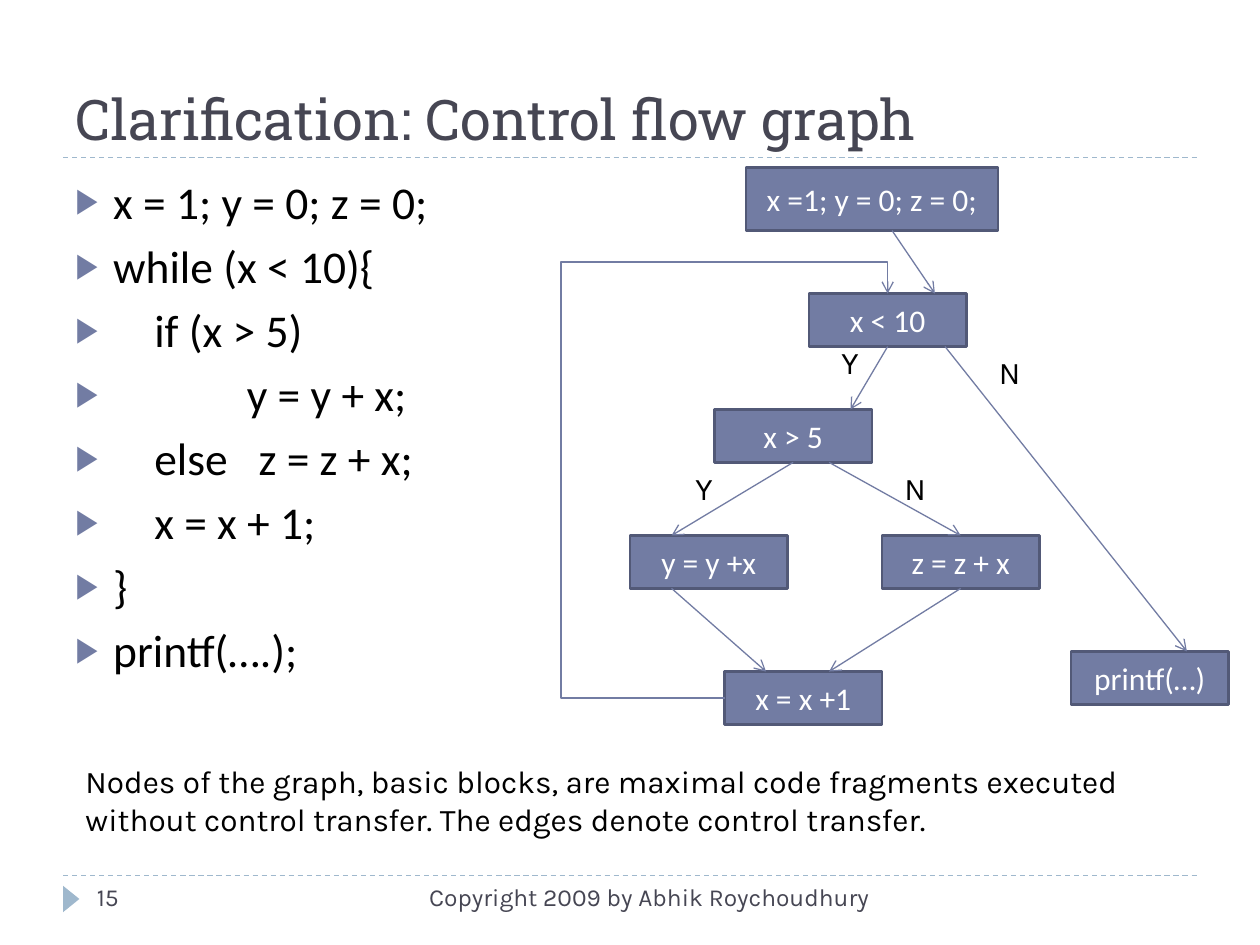
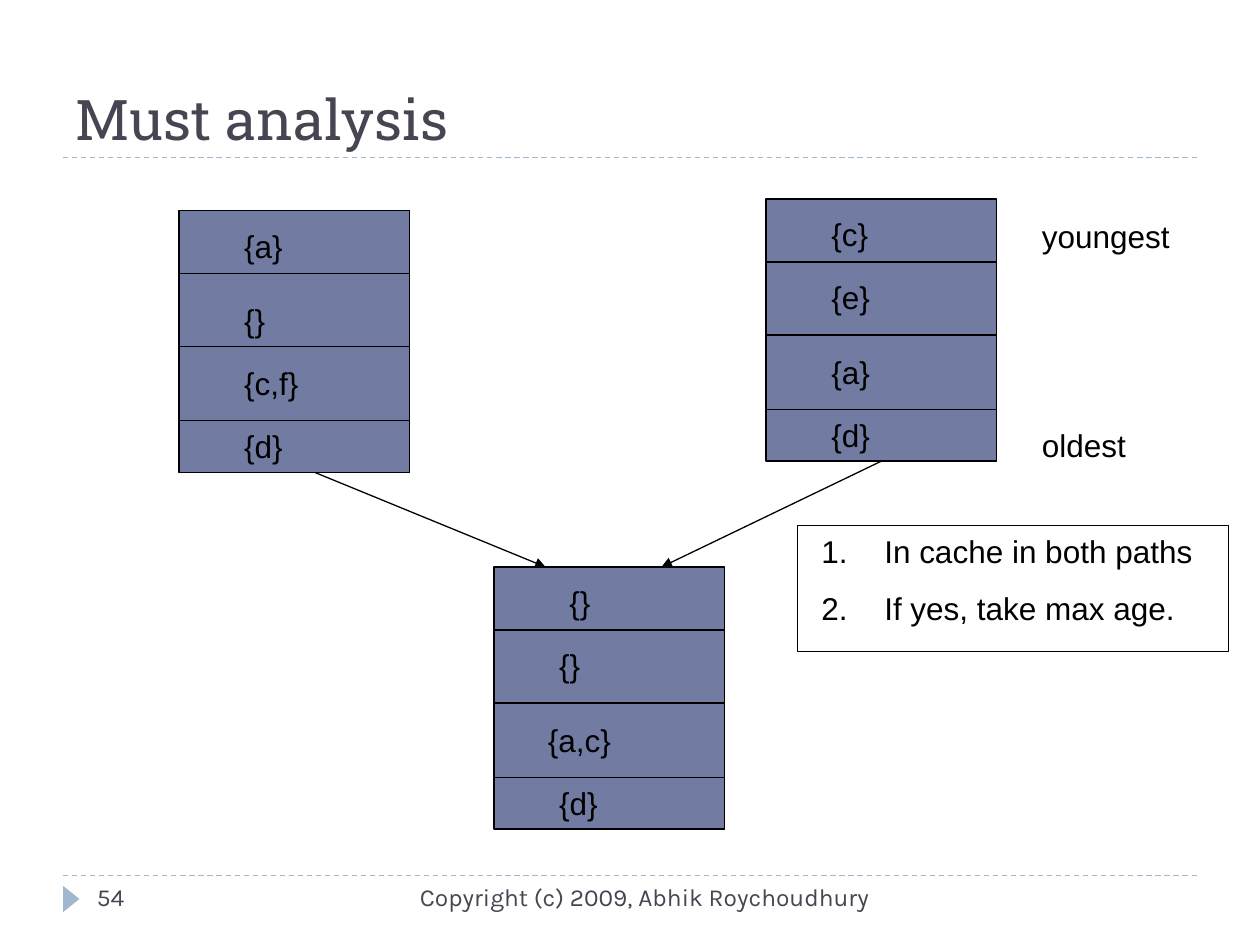
from lxml import etree
from pptx import Presentation
from pptx.dml.color import RGBColor
from pptx.enum.dml import MSO_LINE
from pptx.enum.shapes import MSO_CONNECTOR, MSO_SHAPE
from pptx.enum.text import MSO_ANCHOR, PP_ALIGN
from pptx.oxml.ns import qn
from pptx.util import Inches, Pt

RECTANGLE, TRIANGLE = MSO_SHAPE.RECTANGLE, MSO_SHAPE.ISOSCELES_TRIANGLE
STRAIGHT, ELBOW = MSO_CONNECTOR.STRAIGHT, MSO_CONNECTOR.ELBOW
LEFT, CENTER, RIGHT = PP_ALIGN.LEFT, PP_ALIGN.CENTER, PP_ALIGN.RIGHT
TOP, MIDDLE, BOTTOM = MSO_ANCHOR.TOP, MSO_ANCHOR.MIDDLE, MSO_ANCHOR.BOTTOM
DASH = MSO_LINE.DASH
TOP_SIDE, LEFT_SIDE, BOTTOM_SIDE = 0, 1, 2

COLORS = {
    "ink": "000000",
    "white": "FFFFFF",
    "heading": "464653",
    "block": "727CA3",
    "block_edge": "525977",
    "rule": "9FB8CD",
}
RGB = {name: RGBColor.from_string(value) for name, value in COLORS.items()}


def add_text(slide, text, left, top, width, height, size=18, font="Karla",
             color="ink", align=LEFT, anchor=TOP, fill=None, edge=None,
             bullet=(), indent=0, gap=0):
    """Add text, one paragraph a line, in a plain box or a filled rectangle.

    bullet lists the (tag, attributes) elements that make up the bullet.
    """
    area = [Inches(v) for v in (left, top, width, height)]
    if fill:
        holder = slide.shapes.add_shape(RECTANGLE, *area)
        holder.shadow.inherit = False
        holder.fill.solid()
        holder.fill.fore_color.rgb = RGB[fill]
        holder.line.color.rgb = RGB[edge]
        holder.line.width = Pt(1.5)
    else:
        holder = slide.shapes.add_textbox(*area)
    frame = holder.text_frame
    frame.word_wrap = True
    frame.vertical_anchor = anchor
    for number, line in enumerate(text.split("\n")):
        paragraph = frame.add_paragraph() if number else frame.paragraphs[0]
        paragraph.alignment = align
        if bullet:
            properties = paragraph._p.get_or_add_pPr()
            properties.set("marL", str(Inches(indent)))
            properties.set("indent", str(-Inches(indent)))
            color_tag = etree.SubElement(properties, qn("a:buClr"))
            mark_color = "block" if font == "Calibri" else color
            etree.SubElement(color_tag, qn("a:srgbClr"), val=COLORS[mark_color])
            for tag, attributes in bullet:
                etree.SubElement(properties, qn(tag), attributes)
        if number:
            paragraph.space_before = Pt(gap)
        run = paragraph.add_run()
        run.text = line
        run.font.size = Pt(size)
        run.font.name = font
        run.font.color.rgb = RGB[color]
    return holder


def add_line(slide, start, end, color="ink", kind=STRAIGHT, dash=None, head=None):
    ends = [Inches(v) for v in (*start, *end)]
    line = slide.shapes.add_connector(kind, *ends)
    line.line.color.rgb = RGB[color]
    line.line.width = Pt(0.75)
    if dash:
        line.line.dash_style = dash
    if head:
        etree.SubElement(line.line._get_or_add_ln(), qn("a:tailEnd"), type=head)
    etree.SubElement(line._element.spPr, qn("a:effectLst"))
    return line


prs = Presentation()
prs.slide_width, prs.slide_height = Inches(10), Inches(7.5)

# Shared title, rules and footer
slides = []
for title, page, copyright_line in (
    ("Clarification: Control flow graph", "15", "Copyright 2009 by Abhik Roychoudhury"),
    ("Must analysis", "54", "Copyright (c) 2009, Abhik Roychoudhury"),
):
    slide = prs.slides.add_slide(prs.slide_layouts[6])
    for rule_y in (6.95, 1.25):
        add_line(slide, (0.5, rule_y), (9.5, rule_y), "rule", dash=DASH)
    page_marker = slide.shapes.add_shape(
        TRIANGLE, Inches(0.46), Inches(7.07), Inches(0.21), Inches(0.13))
    page_marker.rotation = 90
    page_marker.shadow.inherit = False
    page_marker.fill.solid()
    page_marker.fill.fore_color.rgb = RGB["rule"]
    page_marker.line.fill.background()
    add_text(slide, title, 0.5, 0.17, 9, 1.08, size=32, font="Roboto Slab",
             color="heading", anchor=BOTTOM)
    add_text(slide, copyright_line, 3.17, 6.95, 3.83, 0.4, size=14,
             color="heading", align=RIGHT)
    add_text(slide, page, 0.67, 6.95, 2.17, 0.4, size=14, color="heading")
    slides.append(slide)
flow_slide, must_slide = slides

# Control flow graph: program text
PROGRAM = """x = 1; y = 0; z = 0;
while (x < 10){
    if (x > 5)
             y = y + x;
    else   z = z + x;
    x = x + 1;
}
printf(….);"""
ARROW_BULLET = (("a:buSzPct", {"val": "76000"}), ("a:buFont", {"typeface": "Arial"}),
                ("a:buChar", {"char": "▶"}))
add_text(flow_slide, PROGRAM, 0.5, 1.33, 3.33, 5.4, size=26, font="Calibri",
         bullet=ARROW_BULLET, indent=0.3, gap=5.4)

# Control flow graph: basic blocks
BLOCKS = {
    "init": ("x =1; y = 0; z = 0;", 5.92, 1.33, 2, 0.5),
    "loop": ("x < 10", 6.42, 2.33, 1.25, 0.42),
    "test": ("x > 5", 5.67, 3.25, 1.25, 0.42),
    "then": ("y = y +x", 5, 4.25, 1.25, 0.42),
    "else": ("z = z + x", 7, 4.25, 1.25, 0.42),
    "step": ("x = x +1", 5.75, 5.33, 1.25, 0.42),
    "print": ("printf(…)", 8.5, 5.17, 1.25, 0.42),
}
blocks = {
    name: add_text(flow_slide, *block, font="Calibri", color="white", align=CENTER,
                   anchor=MIDDLE, fill="block", edge="block_edge")
    for name, block in BLOCKS.items()
}

# Each edge runs from a bottom side to a top side; None is the middle of the side
for source, start_x, target, end_x in (
    ("init", 7.08, "loop", 7.42),
    ("loop", None, "test", 6.75),
    ("loop", 7.5, "print", 9.42),
    ("test", None, "then", 5.33),
    ("test", 6.58, "else", None),
    ("then", 5.33, "step", 6.08),
    ("else", None, "step", 6.58),
):
    start_y = BLOCKS[source][2] + BLOCKS[source][4]
    edge = add_line(flow_slide, (start_x or 0, start_y), (end_x or 0, BLOCKS[target][2]),
                    "block", head="arrow")
    if start_x is None:
        edge.begin_connect(blocks[source], BOTTOM_SIDE)
    if end_x is None:
        edge.end_connect(blocks[target], TOP_SIDE)

back_edge = add_line(flow_slide, (5.75, 5.54), (7.04, 2.33), "block",
                     kind=ELBOW, head="arrow")
back_edge.begin_connect(blocks["step"], LEFT_SIDE)
back_edge.end_connect(blocks["loop"], TOP_SIDE)
bend = back_edge._element.spPr.find(qn("a:prstGeom"))
bend.set("prst", "bentConnector4")
bend_guides = bend.find(qn("a:avLst"))
if bend_guides is None:
    bend_guides = etree.SubElement(bend, qn("a:avLst"))
for guide, value in (("adj1", -100300), ("adj2", 107800)):
    etree.SubElement(bend_guides, qn("a:gd"), name=guide, fmla=f"val {value}")

for branch, left, top in (("Y", 5.42, 3.67), ("N", 7.08, 3.67),
                          ("Y", 6.58, 2.67), ("N", 7.83, 2.75)):
    add_text(flow_slide, branch, left, top, 0.5, 0.4)
add_text(flow_slide, "Nodes of the graph, basic blocks, are maximal code fragments "
         "executed without control transfer. The edges denote control transfer.",
         0.58, 6, 9.08, 0.7)

# Must analysis: cache states, youngest line on top
STACK_WIDTH, STACK_HEIGHT = 1.83, 2.08
DIVIDERS = (0.5, 1.08, 1.67)
stacks = []
for left, top, cache_lines in (
    (1.42, 1.67, (("{a}", 0.42, 0.08), ("{}", 0.42, 0.67),
                  ("{c,f}", 0.42, 1.17), ("{d}", 0.42, 1.67))),
    (6.08, 1.58, (("{c}", 0.42, 0.08), ("{e}", 0.42, 0.58),
                  ("{a}", 0.42, 1.17), ("{d}", 0.42, 1.67))),
    (3.92, 4.5, (("{}", 0.5, 0.08), ("{}", 0.42, 0.58),
                 ("{a,c}", 0.33, 1.17), ("{d}", 0.42, 1.67))),
):
    stack = must_slide.shapes.add_shape(
        RECTANGLE, Inches(left), Inches(top), Inches(STACK_WIDTH), Inches(STACK_HEIGHT))
    stack.shadow.inherit = False
    stack.fill.solid()
    stack.fill.fore_color.rgb = RGB["block"]
    stack.line.color.rgb = RGB["ink"]
    stack.line.width = Pt(0.75)
    stacks.append(stack)
    for offset in DIVIDERS:
        add_line(must_slide, (left, top + offset), (left + STACK_WIDTH, top + offset))
    for contents, dx, dy in cache_lines:
        add_text(must_slide, contents, left + dx, top + dy, 1.17, 0.4, font="Arial")

add_line(must_slide, (2.5, 3.75), (4.33, 4.5), head="triangle")
right_join = add_line(must_slide, (7, 3.67), (5.25, 4.5), head="triangle")
right_join.begin_connect(stacks[1], BOTTOM_SIDE)

for age, top in (("youngest", 1.67), ("oldest", 3.33)):
    add_text(must_slide, age, 8.17, top, 1.42, 0.4, font="Arial")

# Must analysis: join rules
NUMBERING = (("a:buFont", {"typeface": "Arial"}),
             ("a:buAutoNum", {"type": "arabicPeriod"}))
add_text(must_slide, "In cache in both paths\nIf yes, take max age.",
         6.42, 4.17, 3.33, 0.86, font="Arial", bullet=NUMBERING, indent=0.5, gap=11.2)
rules_frame = must_slide.shapes.add_shape(
    RECTANGLE, Inches(6.33), Inches(4.17), Inches(3.42), Inches(1))
rules_frame.shadow.inherit = False
rules_frame.fill.background()
rules_frame.line.color.rgb = RGB["ink"]
rules_frame.line.width = Pt(0.75)

prs.save("out.pptx")
